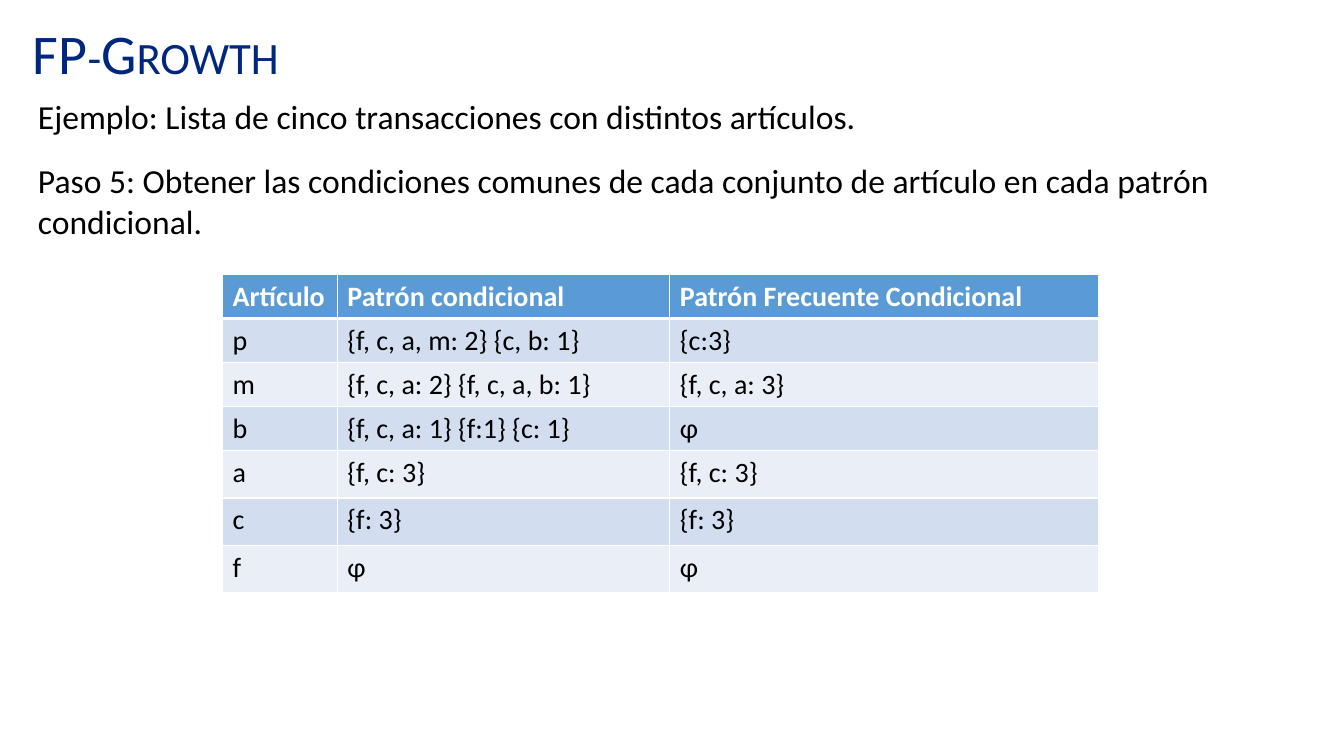
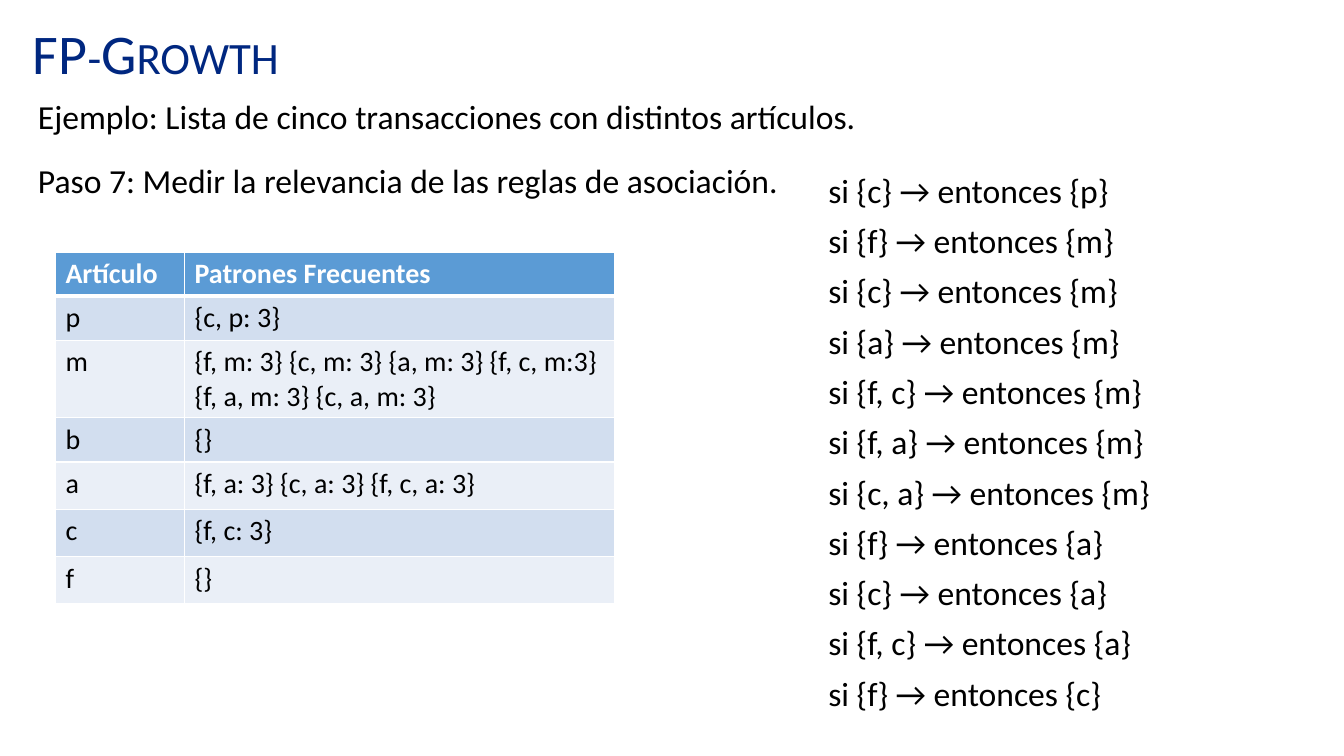
from lxml.etree import SubElement
from pptx import Presentation
from pptx.dml.color import RGBColor
from pptx.enum.text import MSO_ANCHOR, PP_ALIGN
from pptx.oxml.ns import qn
from pptx.util import Pt

NAVY = RGBColor(0x00, 0x27, 0x80)
BLACK = RGBColor(0x00, 0x00, 0x00)
WHITE = RGBColor(0xFF, 0xFF, 0xFF)
BLUE = RGBColor(0x5B, 0x9B, 0xD5)
BANDS = (RGBColor(0xD2, 0xDE, 0xEF), RGBColor(0xEA, 0xEF, 0xF7))

TITLE = "FP-Growth"
INTRO = "Ejemplo: Lista de cinco transacciones con distintos artículos."
RULES = [
    ("c", "p"), ("f", "m"), ("c", "m"), ("a", "m"), ("f, c", "m"), ("f, a", "m"),
    ("c, a", "m"), ("f", "a"), ("c", "a"), ("f, c", "a"), ("f", "c"),
]
SLIDES = [
    {
        "step": "Paso 5: Obtener las condiciones comunes de cada conjunto de "
                "artículo en cada patrón condicional.",
        "deep": 65.5,
        "spot": (159, 196),
        "cols": (82, 237.5, 306),
        "tall": (31.5, 31.5, 31.5, 31.5, 33.8, 33.8, 33.8),
        "rows": [
            ("Artículo", "Patrón condicional", "Patrón Frecuente Condicional"),
            ("p", "{f, c, a, m: 2} {c, b: 1}", "{c:3}"),
            ("m", "{f, c, a: 2} {f, c, a, b: 1}", "{f, c, a: 3}"),
            ("b", "{f, c, a: 1} {f:1} {c: 1}", "φ"),
            ("a", "{f, c: 3}", "{f, c: 3}"),
            ("c", "{f: 3}", "{f: 3}"),
            ("f", "φ", "φ"),
        ],
        "rules": [],
    },
    {
        "step": "Paso 7: Medir la relevancia de las reglas de asociación.",
        "deep": 36,
        "spot": (39.6, 180),
        "cols": (92.2, 307.5),
        "tall": (31.5, 31.5, 55.5, 31.5, 33.8, 33.8, 33.8),
        "rows": [
            ("Artículo", "Patrones Frecuentes"),
            ("p", "{c, p: 3}"),
            ("m", "{f, m: 3} {c, m: 3} {a, m: 3} {f, c, m:3} "
                  "{f, a, m: 3} {c, a, m: 3}"),
            ("b", "{}"),
            ("a", "{f, a: 3} {c, a: 3} {f, c, a: 3}"),
            ("c", "{f, c: 3}"),
            ("f", "{}"),
        ],
        "rules": [f"si {{{a}}} → entonces {{{b}}}" for a, b in RULES],
    },
]

HEAD = {"line_spacing": 0.9}
BODY = {"line_spacing": 0.9, "space_before": Pt(10), "alignment": PP_ALIGN.JUSTIFY}


def style(item, form):
    for key, value in form.items():
        setattr(item, key, value)


def write(para, text, size, color, bold=False):
    run = para.add_run()
    run.text = text
    style(run.font, {"name": "Calibri", "size": Pt(size), "bold": bold})
    run.font.color.rgb = color
    return run


def add_text(slide, box, lines, form, size=24, color=BLACK, anchor=MSO_ANCHOR.TOP):
    frame = slide.shapes.add_textbox(*map(Pt, box)).text_frame
    style(frame, {"word_wrap": True, "vertical_anchor": anchor})
    for i, line in enumerate(lines):
        para = frame.add_paragraph() if i else frame.paragraphs[0]
        style(para, form)
        run = write(para, line, size, color)
    return run


def add_edges(cell, row):
    props = cell._tc.get_or_add_tcPr()
    thick = {(0, "B"), (1, "T")}
    for side in "LRTB":
        width = Pt(3 if (row, side) in thick else 1)
        line = SubElement(props, qn(f"a:ln{side}"), w=str(width))
        fill = SubElement(line, qn("a:solidFill"))
        SubElement(fill, qn("a:srgbClr"), val=str(WHITE))


def add_grid(slide, spot, cols, tall, rows):
    box = (*spot, sum(cols), sum(tall))
    grid = slide.shapes.add_table(len(rows), len(cols), *map(Pt, box)).table
    for col, width in zip(grid.columns, cols):
        col.width = Pt(width)
    for r, (row, high) in enumerate(zip(rows, tall)):
        grid.rows[r].height = Pt(high)
        for c, text in enumerate(row):
            cell = grid.cell(r, c)
            add_edges(cell, r)
            cell.fill.solid()
            cell.fill.fore_color.rgb = BANDS[(r - 1) % 2] if r else BLUE
            para = cell.text_frame.paragraphs[0]
            write(para, text, 20, BLACK if r else WHITE, r == 0)


def add_slide(deck, data):
    slide = deck.slides.add_slide(deck.slide_layouts[6])
    add_text(slide, (20, 68.4, 920, 39.6), [INTRO], BODY)
    run = add_text(slide, (16.5, 5, 828, 60.5), [TITLE], HEAD, 40, NAVY,
                   MSO_ANCHOR.BOTTOM)
    run._r.get_or_add_rPr().set("cap", "small")
    add_text(slide, (20, 111, 904, data["deep"]), [data["step"]], {})
    add_grid(slide, data["spot"], data["cols"], data["tall"], data["rows"])
    if data["rules"]:
        add_text(slide, (584.6, 121, 299, 414), data["rules"], BODY)


def main():
    deck = Presentation()
    style(deck, {"slide_width": Pt(960), "slide_height": Pt(540)})
    for data in SLIDES:
        add_slide(deck, data)
    deck.save("out.pptx")


if __name__ == "__main__":
    main()
